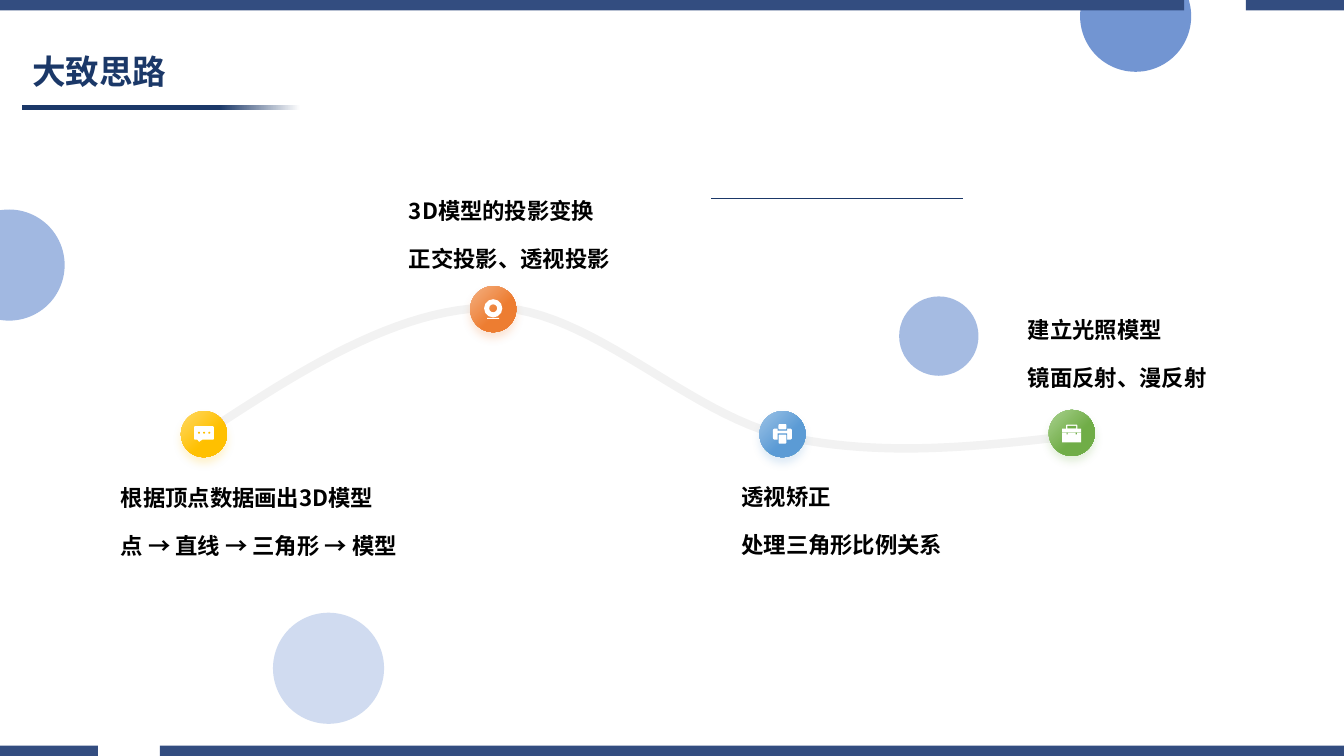
from lxml.etree import SubElement
from pptx import Presentation
from pptx.dml.color import RGBColor
from pptx.enum.shapes import MSO_CONNECTOR, MSO_SHAPE
from pptx.enum.text import MSO_ANCHOR, PP_ALIGN
from pptx.oxml.ns import qn
from pptx.util import Cm, Pt

FONT = "Noto Sans CJK SC"
NAVY = RGBColor(0x1B, 0x38, 0x68)
BAR = RGBColor(0x33, 0x4D, 0x80)
BLUE = RGBColor(0x44, 0x72, 0xC4)
GRAY = RGBColor(0x80, 0x80, 0x80)
BLACK = RGBColor(0, 0, 0)
WHITE = RGBColor(0xFF, 0xFF, 0xFF)
YELLOW = RGBColor(0xFF, 0xC0, 0x00)
LIGHT_YELLOW = RGBColor(0xFF, 0xD9, 0x66)
ORANGE = RGBColor(0xED, 0x7D, 0x31)
LIGHT_ORANGE = RGBColor(0xF4, 0xB1, 0x83)
SKY = RGBColor(0x5B, 0x9B, 0xD5)
LIGHT_SKY = RGBColor(0x9D, 0xC3, 0xE6)
GREEN = RGBColor(0x70, 0xAD, 0x47)
LIGHT_GREEN = RGBColor(0xA9, 0xD1, 0x8E)

deck = Presentation()
deck.slide_width, deck.slide_height = Cm(33.87), Cm(19.05)
page = deck.slides.add_slide(deck.slide_layouts[6])


def add_figure(kind, left, top, width, height, color=None):
    figure = page.shapes.add_shape(kind, Cm(left), Cm(top), Cm(width), Cm(height))
    figure.shadow.inherit = False
    figure.line.fill.background()
    if color is None:
        figure.fill.background()
    else:
        figure.fill.solid()
        figure.fill.fore_color.rgb = color
    return figure


def write_lines(frame, lines, frame_format, paragraph_format, font_format, gap=0):
    for name, value in frame_format.items():
        setattr(frame, name, value)
    for index, line in enumerate(lines):
        para = frame.paragraphs[0] if index == 0 else frame.add_paragraph()
        for name, value in paragraph_format.items():
            setattr(para, name, value)
        if index:
            para.space_before = Pt(gap)
        span = para.add_run()
        span.text = line["text"]
        for name, value in font_format.items():
            setattr(span.font, name, value)
        span.font.color.rgb = line["color"]
        SubElement(span.font._element, qn("a:ea"), typeface=FONT)


for left, top, size, opacity in [
    (6.88, 15.44, 2.8, 25),
    (-1.17, 5.28, 2.8, 50),
    (27.22, -0.99, 2.8, 75),
    (22.66, 7.47, 2, 48),
]:
    bubble = add_figure(MSO_SHAPE.OVAL, left, top, size, size, BLUE)
    tint = bubble.element.spPr.find(".//" + qn("a:srgbClr"))
    SubElement(tint, qn("a:alpha"), val=str(opacity * 1000))

underline = add_figure(MSO_SHAPE.RECTANGLE, 0.56, 2.65, 7.01, 0.12, NAVY)
underline.fill.gradient()
underline.fill.gradient_angle = 0
for stop, position, color in zip(underline.fill.gradient_stops, (0.71, 1), (NAVY, WHITE)):
    stop.position, stop.color.rgb = position, color

for top, spans in [
    (18.79, [(4.03, 33.87), (0, 2.47)]),
    (0, [(0, 29.84), (31.4, 33.87)]),
]:
    builder = page.shapes.build_freeform(Cm(spans[0][0]), Cm(top))
    for start, end in spans:
        builder.move_to(Cm(start), Cm(top))
        corners = [(end, top), (end, top + 0.26), (start, top + 0.26)]
        builder.add_line_segments([(Cm(x), Cm(y)) for x, y in corners], close=True)
    bar = builder.convert_to_shape()
    bar.shadow.inherit = False
    bar.fill.solid()
    bar.fill.fore_color.rgb = BAR
    bar.line.fill.background()

title = page.shapes.add_textbox(Cm(0.56), Cm(1.14), Cm(9.09), Cm(1.42))
write_lines(
    title.text_frame,
    [{"text": "大致思路", "color": NAVY}],
    {"word_wrap": True, "vertical_anchor": MSO_ANCHOR.MIDDLE},
    {"line_spacing": 0.9},
    {"name": FONT, "size": Pt(24), "bold": True},
)

rule = page.shapes.add_connector(MSO_CONNECTOR.STRAIGHT, Cm(17.93), Cm(5), Cm(24.28), Cm(5))
rule.line.color.rgb = NAVY
rule.line.width = Pt(0.5)
SubElement(rule.element.spPr, qn("a:effectLst"))

ROUTE = [
    (5.11, 10.95), (7.54, 9.35), (10.01, 7.75), (12.45, 7.75), (14.88, 7.77),
    (17.35, 10.46), (19.81, 11), (22.25, 11.53), (24.69, 11.25), (27.13, 10.97),
]
STEPS = 24
route_points = []
for first in range(0, 9, 3):
    for step in range(1, STEPS + 1):
        t = step / STEPS
        weights = ((1 - t) ** 3, 3 * t * (1 - t) ** 2, 3 * t * t * (1 - t), t ** 3)
        controls = ROUTE[first:first + 4]
        route_points.append(tuple(
            Cm(sum(weight * point[axis] for weight, point in zip(weights, controls)))
            for axis in (0, 1)
        ))
builder = page.shapes.build_freeform(Cm(ROUTE[0][0]), Cm(ROUTE[0][1]))
builder.add_line_segments(route_points, close=False)
route = builder.convert_to_shape()
route.shadow.inherit = False
route.fill.background()
route.line.color.rgb = GRAY
route.line.width = Pt(6)
tint = route.element.spPr.find(".//" + qn("a:srgbClr"))
SubElement(tint, qn("a:alpha"), val="10000")

RECT, OVAL = MSO_SHAPE.RECTANGLE, MSO_SHAPE.OVAL
ROUND = MSO_SHAPE.ROUNDED_RECTANGLE
CALLOUT, DONUT = MSO_SHAPE.ROUNDED_RECTANGULAR_CALLOUT, MSO_SHAPE.DONUT
ADJUSTMENTS = {CALLOUT: (-0.24, 0.66, 0.08), DONUT: (0.28,)}
chat = [(CALLOUT, -0.25, -0.2, 0.5, 0.34, True)]
chat += [(OVAL, x, -0.06, 0.05, 0.05, False) for x in (-0.15, -0.02, 0.11)]
webcam = [(DONUT, -0.23, -0.25, 0.46, 0.46, True), (RECT, -0.15, 0.22, 0.3, 0.03, True)]
printer = [
    (ROUND, -0.24, -0.14, 0.48, 0.28, True),
    (RECT, -0.12, -0.15, 0.24, 0.06, False),
    (ROUND, -0.1, -0.25, 0.2, 0.13, True),
    (RECT, -0.12, -0.02, 0.24, 0.17, False),
    (ROUND, -0.1, 0.01, 0.2, 0.23, True),
]
briefcase = [
    (ROUND, -0.14, -0.21, 0.28, 0.13, True),
    (RECT, -0.11, -0.18, 0.22, 0.07, False),
    (RECT, -0.24, -0.11, 0.48, 0.35, True),
    (RECT, -0.24, -0.01, 0.48, 0.01, False),
    (RECT, -0.13, -0.01, 0.03, 0.05, False),
    (RECT, 0.1, -0.01, 0.03, 0.05, False),
]

stages = [
    (10.94, LIGHT_YELLOW, YELLOW, chat, (2.67, 11.86, 7.9),
     ["根据顶点数据画出3D模型", "点 → 直线 → 三角形 → 模型"]),
    (7.79, LIGHT_ORANGE, ORANGE, webcam, (9.93, 4.62, 5.87),
     ["3D模型的投影变换", "正交投影、透视投影"]),
    (10.94, LIGHT_SKY, SKY, printer, (18.31, 11.84, 5.87),
     ["透视矫正", "处理三角形比例关系"]),
    (10.91, LIGHT_GREEN, GREEN, briefcase, (25.53, 7.62, 5.31),
     ["建立光照模型", "镜面反射、漫反射"]),
]
DIAMETER = 1.16
for index, (middle, light, color, icon, (left, top, width), lines) in enumerate(stages):
    center = 5.14 + 7.29 * index
    badge = add_figure(OVAL, center - DIAMETER / 2, middle - DIAMETER / 2, DIAMETER, DIAMETER, color)
    badge.fill.gradient()
    badge.fill.gradient_angle = 315
    for stop, position, shade in zip(badge.fill.gradient_stops, (0, 0.6), (light, color)):
        stop.position, stop.color.rgb = position, shade
    glow = SubElement(
        badge.element.spPr.find(qn("a:effectLst")), qn("a:outerShdw"),
        blurRad=str(Pt(6)), dist=str(Pt(4)), dir="5400000", algn="t", rotWithShape="0",
    )
    glow_color = SubElement(glow, qn("a:srgbClr"), val=str(color))
    SubElement(glow_color, qn("a:alpha"), val="20000")

    for kind, x, y, part_width, part_height, solid in icon:
        part = add_figure(kind, center + x, middle + y, part_width, part_height,
                          WHITE if solid else color)
        for position, value in enumerate(ADJUSTMENTS.get(kind, ())):
            part.adjustments[position] = value

    box = add_figure(ROUND, left, top, width, 2.57)
    write_lines(
        box.text_frame,
        [{"text": line, "color": BLACK} for line in lines],
        {"word_wrap": True, "vertical_anchor": MSO_ANCHOR.MIDDLE, "margin_right": 0},
        {"alignment": PP_ALIGN.LEFT},
        {"name": FONT, "size": Pt(16), "bold": True},
        gap=15,
    )

deck.save("out.pptx")
